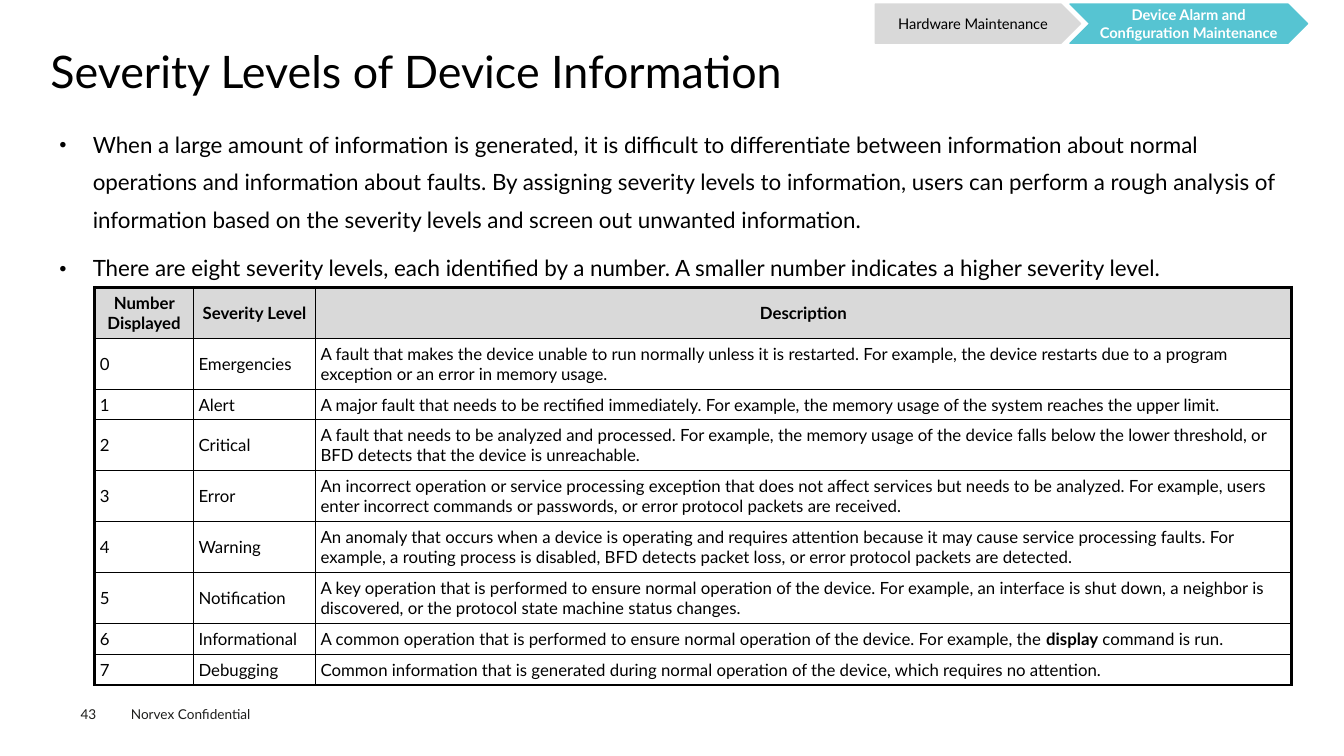
from dataclasses import dataclass

from lxml import etree
from pptx import Presentation
from pptx import util as u
from pptx.dml.color import RGBColor
from pptx.enum import shapes, text
from pptx.oxml import ns

WIDE, HIGH = u.Inches(13.33), u.Inches(7.5)


@dataclass(frozen=True)
class Theme:
    font: str = "Lato"
    ink: str = "000000"
    soft: str = "1D1D1B"
    white: str = "FFFFFF"
    grey: str = "D9D9D9"
    teal: str = "56C4D2"
    title: float = 32
    body: float = 16
    cell: float = 12
    step: float = 10.5
    foot: float = 9.7
    thin: float = 1
    thick: float = 2.25


T = Theme()
MID = text.MSO_ANCHOR.MIDDLE
TOP = text.MSO_ANCHOR.TOP
LEFT = text.PP_ALIGN.LEFT
CENTER = text.PP_ALIGN.CENTER

POINTS = [
    "When a large amount of information is generated, it is difficult to differentiate between "
    "information about normal operations and information about faults. By assigning severity levels "
    "to information, users can perform a rough analysis of information based on the severity levels "
    "and screen out unwanted information.",
    "There are eight severity levels, each identified by a number. "
    "A smaller number indicates a higher severity level.",
]

HEAD = ["Number Displayed", "Severity Level", "Description"]

# Level name, lines of text in the row, description; a bar sets off bold words
LEVELS = [
    ("Emergencies", 2, "A fault that makes the device unable to run normally unless it is restarted. "
     "For example, the device restarts due to a program exception or an error in memory usage."),
    ("Alert", 1, "A major fault that needs to be rectified immediately. "
     "For example, the memory usage of the system reaches the upper limit."),
    ("Critical", 2, "A fault that needs to be analyzed and processed. For example, the memory usage of "
     "the device falls below the lower threshold, or BFD detects that the device is unreachable."),
    ("Error", 2, "An incorrect operation or service processing exception that does not affect services "
     "but needs to be analyzed. For example, users enter incorrect commands or passwords, "
     "or error protocol packets are received."),
    ("Warning", 2, "An anomaly that occurs when a device is operating and requires attention because it "
     "may cause service processing faults. For example, a routing process is disabled, "
     "BFD detects packet loss, or error protocol packets are detected."),
    ("Notification", 2, "A key operation that is performed to ensure normal operation of the device. "
     "For example, an interface is shut down, a neighbor is discovered, "
     "or the protocol state machine status changes."),
    ("Informational", 1, "A common operation that is performed to ensure normal operation of the device. "
     "For example, the |display| command is run."),
    ("Debugging", 1, "Common information that is generated during normal operation of the device, "
     "which requires no attention."),
]


# Lengths are percentages of the slide's width and height
def col(share):
    return u.Emu(round(WIDE * share / 100))


def row(share):
    return u.Emu(round(HIGH * share / 100))


def box(x, y, w, h):
    return col(x), row(y), col(w), row(h)


def put(item, **form):
    for name, value in form.items():
        setattr(item, name, value)


def pad(item, inch):
    sides = ("left", "top", "right", "bottom")
    put(item, **{f"margin_{side}": u.Inches(inch) for side in sides})


def write(para, words, size, color, bold=False, **form):
    put(para, **form)
    for i, part in enumerate(words.split("|")):
        run = para.add_run()
        run.text = part
        put(run.font, name=T.font, size=u.Pt(size), bold=bold or i % 2 == 1)
        run.font.color.rgb = RGBColor.from_string(color)


def place(shape, *area):
    put(shape, **dict(zip(("left", "top", "width", "height"), box(*area))))
    frame = shape.text_frame
    put(frame, word_wrap=True, auto_size=text.MSO_AUTO_SIZE.NONE, vertical_anchor=TOP)
    return frame


def bullet(para):
    props = para._p.get_or_add_pPr()
    put_in = {"marL": u.Inches(0.33), "indent": -u.Inches(0.33)}
    for name, value in put_in.items():
        props.set(name, str(value))
    marks = {"buSzPct": ("val", "50000"), "buFont": ("typeface", T.font), "buChar": ("char", "●")}
    for tag, (name, value) in marks.items():
        etree.SubElement(props, ns.qn(f"a:{tag}")).set(name, value)


def edge(cell, sides):
    props = cell._tc.get_or_add_tcPr()
    for side, width in sides.items():
        line = etree.SubElement(props, ns.qn(f"a:ln{side}"), w=str(u.Pt(width)))
        fill = etree.SubElement(line, ns.qn("a:solidFill"))
        etree.SubElement(fill, ns.qn("a:srgbClr"), val=T.ink)


def label(slide, words, area, inset=None):
    frame = place(slide.shapes.add_textbox(*box(*area)), *area)
    if inset is not None:
        pad(frame, inset)
    write(frame.paragraphs[0], words, T.foot, T.soft)


def step(slide, kind, words, area, fill, color, bold):
    shape = slide.shapes.add_shape(kind, *box(*area))
    shape.shadow.inherit = False
    shape.fill.solid()
    shape.fill.fore_color.rgb = shape.line.color.rgb = RGBColor.from_string(fill)
    shape.line.width = u.Pt(0.75)
    frame = shape.text_frame
    pad(frame, 0)
    put(frame, word_wrap=True, vertical_anchor=MID)
    write(frame.paragraphs[0], words, T.step, color, bold, alignment=CENTER)


def grid(slide, x, y, cols, rows, data):
    area = box(x, y, sum(cols), sum(rows))
    table = slide.shapes.add_table(len(rows), len(cols), *area).table
    put(table, first_row=False, horz_banding=False)
    for item, share in zip(table.columns, cols):
        item.width = col(share)
    for item, share in zip(table.rows, rows):
        item.height = row(share)
    for r, line in enumerate(data):
        for c, words in enumerate(line):
            cell, top = table.cell(r, c), r == 0
            ends = {"L": c == 0, "R": c == len(cols) - 1, "T": top, "B": r == len(rows) - 1}
            edge(cell, {side: T.thick if end else T.thin for side, end in ends.items()})
            if top:
                cell.fill.solid()
                cell.fill.fore_color.rgb = RGBColor.from_string(T.grey)
            else:
                cell.fill.background()
            pad(cell, 0.05)
            cell.vertical_anchor = MID
            write(cell.text_frame.paragraphs[0], words, T.cell, T.ink, top,
                  alignment=CENTER if top else LEFT)


def main():
    deck = Presentation()
    put(deck, slide_width=WIDE, slide_height=HIGH)
    slide = deck.slides.add_slide(deck.slide_layouts[1])
    title, body = slide.placeholders

    # Footer
    label(slide, "Norvex Confidential", (9, 92.67, 12, 3.6))
    label(slide, "43", (6, 93.33, 4.13, 2.13), 0)

    # Title and points
    frame = place(title, 3.75, 6.53, 92.63, 7.2)
    pad(frame, 0)
    write(frame.paragraphs[0], "Severity Levels of Device Information", T.title, T.ink,
          alignment=LEFT, line_spacing=0.9)
    frame = place(body, 3.75, 15.33, 92.63, 71.07)
    put(frame, margin_left=u.Inches(0.09), margin_top=u.Inches(0.04))
    for i, words in enumerate(POINTS):
        para = frame.add_paragraph() if i else frame.paragraphs[0]
        write(para, words, T.body, T.ink, line_spacing=1.4, space_before=u.Pt(7.9))
        bullet(para)

    # Severity table
    data = [HEAD] + [(str(n), name, words) for n, (name, _, words) in enumerate(LEVELS)]
    lines = [2] + [count for _, count, _ in LEVELS]
    grid(slide, 7.05, 38, (7.35, 9.08, 72.6), [1.4 + 2.67 * n for n in lines], data)

    # Chapter steps
    kinds = shapes.MSO_SHAPE
    step(slide, kinds.PENTAGON, "Hardware Maintenance", (65.12, 0.53, 15.3, 5.2),
         T.grey, T.ink, False)
    step(slide, kinds.CHEVRON, "Device Alarm and Configuration Maintenance",
         (79.6, 0.53, 17.7, 5.2), T.teal, T.white, True)

    deck.save("out.pptx")


if __name__ == "__main__":
    main()
